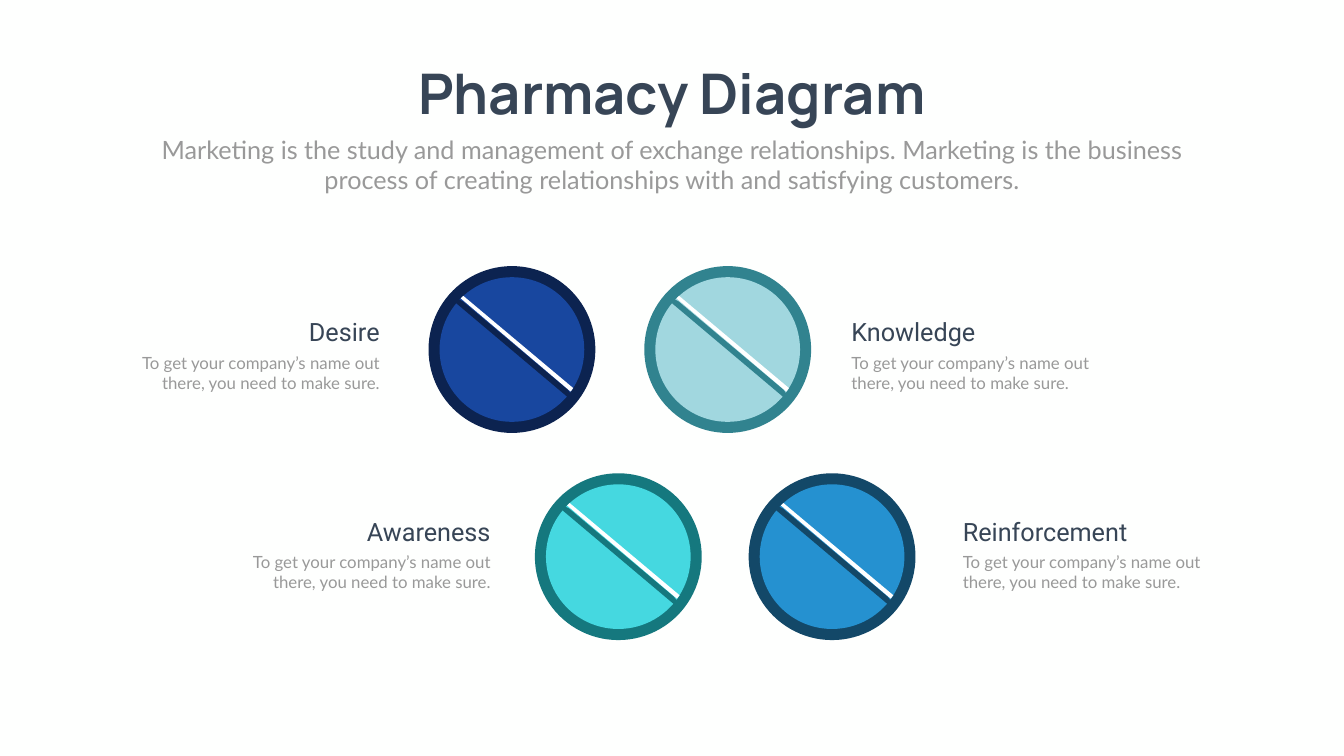
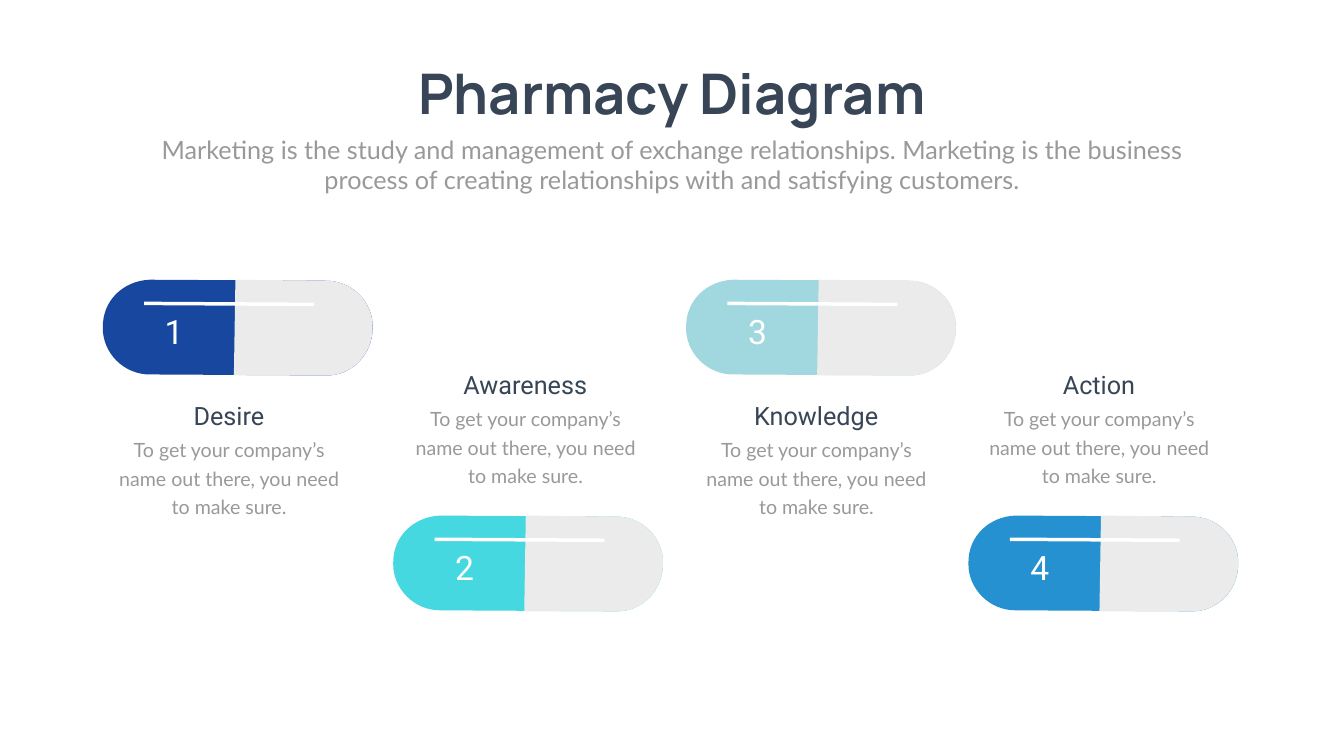
from dataclasses import dataclass
from math import cos, radians, sin

from pptx import Presentation
from pptx.dml.color import RGBColor
from pptx.enum.shapes import MSO_CONNECTOR as Connector, MSO_SHAPE as Shape
from pptx.enum.text import MSO_ANCHOR as Anchor, MSO_AUTO_SIZE as AutoSize, PP_ALIGN as Align
from pptx.oxml.ns import qn
from pptx.util import Inches, Pt
from lxml.etree import SubElement

COLORS = {
    "background": "FEFFFE",
    "white": "FFFFFF",
    "heading": "374556",
    "body": "999999",
    "capsule_half": "EBEBEB",
    "navy": "18479F",
    "navy_rim": "0C2350",
    "turquoise": "45D8E0",
    "turquoise_rim": "15787E",
    "mist": "A1D7DF",
    "mist_rim": "31838F",
    "blue": "2591D0",
    "blue_rim": "134868",
}
TITLE = "Pharmacy Diagram"
SUBTITLE = (
    "Marketing is the study and management of exchange relationships. "
    "Marketing is the business process of creating relationships with and satisfying customers."
)
CAPTION = "To get your company’s name out there, you need to make sure."

TABLET_SIZE, RIM = 3.31, 0.22
GROOVE = [(0.47, 0.67), (0.48, 0.65), (0.6, 0.66), (0.68, 0.7),
          (2.76, 2.45), (2.81, 2.52), (2.84, 2.64), (2.82, 2.65)]
HIGHLIGHT = [(0.64, 0.64), (2.82, 2.49), (2.87, 2.42), (0.69, 0.59)]

CAPSULE_ANGLE = 20.1
RIGHT_CAP = [(4.41, 0.02), (4.95, 0.01), (5.37, 0.46), (5.35, 0.95),
             (5.36, 1.49), (4.92, 1.91), (4.43, 1.9)]
LEFT_CAP = [(0.95, 1.88), (0.41, 1.89), (-0.01, 1.44), (0, 0.95),
            (-0.01, 0.4), (0.42, 0.02), (0.93, 0)]
CAPSULE_BODY = [LEFT_CAP[-1], *RIGHT_CAP, *LEFT_CAP]
CAPSULE_HALF = [(2.63, 0), *RIGHT_CAP, (2.6, 1.9)]
BODY_CURVES = (1, 4, 8, 11)
HALF_CURVES = (1, 4)


@dataclass(frozen=True)
class TextStyle:
    font: str
    size: float
    color: str
    bold: bool = False
    line_spacing: float | None = None


TITLE_STYLE = TextStyle("Manrope", 80, "heading", bold=True)
SUBTITLE_STYLE = TextStyle("Lato", 36, "body")
HEADING_STYLE = TextStyle("Roboto", 36, "heading")
TABLET_CAPTION_STYLE = TextStyle("Lato", 24, "body")
CAPSULE_CAPTION_STYLE = TextStyle("Lato", 28, "body", line_spacing=40.8)
NUMBER_STYLE = TextStyle("Roboto", 48, "white")


@dataclass(frozen=True)
class Tablet:
    left: float
    top: float
    color: str
    heading: str
    heading_width: float
    caption_left: float
    caption_top: float
    align: Align


@dataclass(frozen=True)
class Capsule:
    number: str
    left: float
    top: float
    color: str
    heading: str
    caption_left: float
    heading_top: float


TABLETS = [
    Tablet(8.5, 5.28, "navy", "Desire", 3.26, 2.5, 6.94, Align.RIGHT),
    Tablet(10.61, 9.39, "turquoise", "Awareness", 3.26, 4.7, 10.9, Align.RIGHT),
    Tablet(12.78, 5.28, "mist", "Knowledge", 3.26, 16.79, 6.94, Align.LEFT),
    Tablet(14.85, 9.39, "blue", "Reinforcement", 4.24, 19, 10.9, Align.LEFT),
]
CAPSULES = [
    Capsule("1", 2.04, 5.55, "navy", "Desire", 2.16, 7.89),
    Capsule("2", 7.8, 10.23, "turquoise", "Awareness", 8.04, 7.28),
    Capsule("3", 13.61, 5.55, "mist", "Knowledge", 13.81, 7.89),
    Capsule("4", 19.21, 10.23, "blue", "Action", 19.42, 7.28),
]


def rgb(name: str) -> RGBColor:
    return RGBColor.from_string(COLORS[name])


def paint(shape, color: str) -> None:
    shape.shadow.inherit = False
    shape.fill.solid()
    shape.fill.fore_color.rgb = rgb(color)
    shape.line.fill.background()


def write(shape, text: str, style: TextStyle, align: Align, wrap: bool = True) -> None:
    frame = shape.text_frame
    frame.word_wrap = wrap
    frame.auto_size = AutoSize.NONE
    frame.vertical_anchor = Anchor.TOP
    paragraph = frame.paragraphs[0]
    paragraph.alignment = align
    paragraph.space_before = Pt(0)
    if style.line_spacing:
        paragraph.line_spacing = Pt(style.line_spacing)
    run = paragraph.add_run()
    run.text = text
    run.font.name = style.font
    run.font.size = Pt(style.size)
    run.font.bold = style.bold
    run.font.color.rgb = rgb(style.color)


def add_text(shapes, left: float, top: float, width: float, height: float,
             text: str, style: TextStyle, align: Align) -> None:
    box = shapes.add_textbox(Inches(left), Inches(top), Inches(width), Inches(height))
    write(box, text, style, align)


def add_disc(shapes, left: float, top: float, size: float, color: str) -> None:
    disc = shapes.add_shape(Shape.OVAL, Inches(left), Inches(top), Inches(size), Inches(size))
    paint(disc, color)


def add_outline(shapes, left: float, top: float, points: list, color: str):
    placed = [(Inches(left + x), Inches(top + y)) for x, y in points]
    builder = shapes.build_freeform(*placed[0])
    builder.add_line_segments(placed[1:], close=True)
    outline = builder.convert_to_shape()
    paint(outline, color)
    return outline


def rotate(point: tuple, degrees: float) -> tuple:
    x, y = point
    angle = radians(degrees)
    return x * cos(angle) - y * sin(angle), x * sin(angle) + y * cos(angle)


def add_turned_outline(shapes, left: float, top: float, points: list,
                       curves: tuple, color: str) -> None:
    turned = [rotate(point, -CAPSULE_ANGLE) for point in points]
    center = tuple((min(axis) + max(axis)) / 2 for axis in zip(*turned))
    target = rotate(center, CAPSULE_ANGLE)
    outline = add_outline(shapes, left + target[0] - center[0], top + target[1] - center[1],
                          turned, color)
    outline.rotation = CAPSULE_ANGLE
    segments = list(outline._element.iter(qn("a:lnTo")))
    for start in curves:
        first, second, third = segments[start:start + 3]
        curve = first.makeelement(qn("a:cubicBezTo"))
        first.addprevious(curve)
        for segment in (first, second, third):
            curve.append(segment[0])
            segment.getparent().remove(segment)


def draw_tablet(slide, tablet: Tablet) -> None:
    left, top, rim = tablet.left, tablet.top, f"{tablet.color}_rim"
    shapes = slide.shapes.add_group_shape().shapes
    add_disc(shapes, left, top, TABLET_SIZE, rim)
    add_disc(shapes, left + RIM, top + RIM, TABLET_SIZE - 2 * RIM, tablet.color)
    add_outline(shapes, left, top, GROOVE, rim)
    add_outline(shapes, left, top, HIGHLIGHT, "white")

    caption_width = 5.13
    shift = caption_width - tablet.heading_width if tablet.align == Align.RIGHT else 0
    texts = slide.shapes.add_group_shape().shapes
    add_text(texts, tablet.caption_left, tablet.caption_top, caption_width, 0.91,
             CAPTION, TABLET_CAPTION_STYLE, tablet.align)
    add_text(texts, tablet.caption_left + shift, tablet.caption_top - 0.71,
             tablet.heading_width, 0.71, tablet.heading, HEADING_STYLE, tablet.align)


def draw_capsule(slide, capsule: Capsule) -> None:
    left, top = capsule.left, capsule.top
    shapes = slide.shapes.add_group_shape().shapes
    add_turned_outline(shapes, left, top, CAPSULE_BODY, BODY_CURVES, capsule.color)
    add_turned_outline(shapes, left, top, CAPSULE_HALF, HALF_CURVES, "capsule_half")
    shine = shapes.add_connector(Connector.STRAIGHT, Inches(left + 4.19), Inches(top + 0.49),
                                 Inches(left + 0.82), Inches(top + 0.47))
    shine.line.color.rgb = rgb("white")
    shine.line.width = Pt(5)
    SubElement(shine._element.spPr, qn("a:effectLst"))

    texts = slide.shapes.add_group_shape().shapes
    add_text(texts, capsule.caption_left, capsule.heading_top + 0.65, 4.77, 1.77,
             CAPTION, CAPSULE_CAPTION_STYLE, Align.CENTER)
    add_text(texts, capsule.caption_left - 0.48, capsule.heading_top, 5.72, 0.71,
             capsule.heading, HEADING_STYLE, Align.CENTER)


def place(shape, left: float, top: float, width: float, height: float) -> None:
    shape.left, shape.top = Inches(left), Inches(top)
    shape.width, shape.height = Inches(width), Inches(height)


def add_titled_slide(presentation):
    slide = presentation.slides.add_slide(presentation.slide_layouts[0])
    slide.background.fill.solid()
    slide.background.fill.fore_color.rgb = rgb("background")
    title, subtitle = slide.shapes.title, slide.placeholders[1]
    place(title, 7.54, 1.12, 11.58, 1.45)
    write(title, TITLE, TITLE_STYLE, Align.CENTER, wrap=False)
    place(subtitle, 2.92, 2.61, 20.82, 1.31)
    write(subtitle, SUBTITLE, SUBTITLE_STYLE, Align.CENTER)
    return slide


def main() -> None:
    presentation = Presentation()
    presentation.slide_width, presentation.slide_height = Inches(26.66), Inches(15)
    tablet_slide = add_titled_slide(presentation)
    for tablet in TABLETS:
        draw_tablet(tablet_slide, tablet)
    capsule_slide = add_titled_slide(presentation)
    for capsule in CAPSULES:
        draw_capsule(capsule_slide, capsule)
    for capsule in CAPSULES:
        add_text(capsule_slide.shapes, capsule.left + 0.92, capsule.top + 0.57, 0.99, 0.91,
                 capsule.number, NUMBER_STYLE, Align.CENTER)
    presentation.save("out.pptx")


if __name__ == "__main__":
    main()
